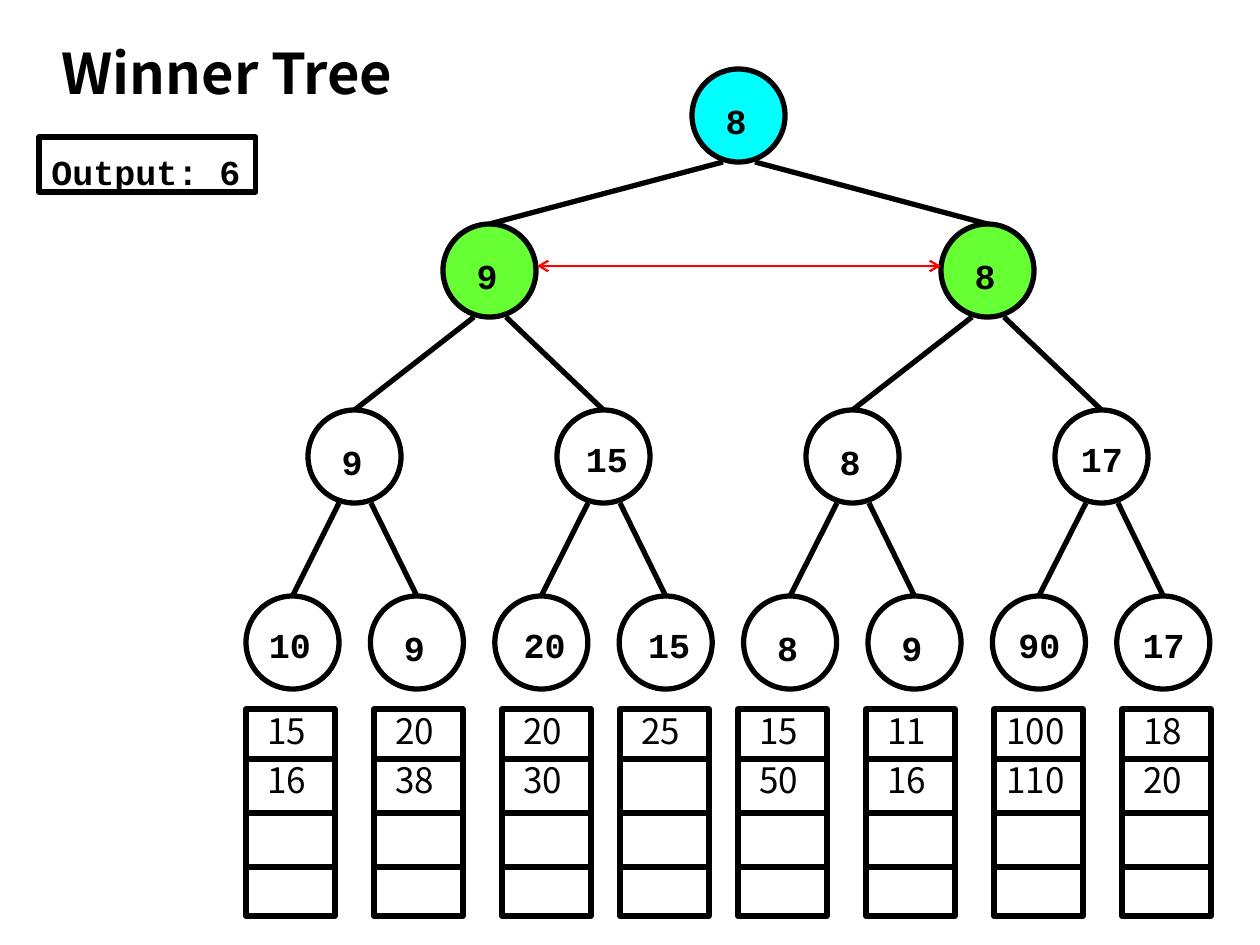
from lxml import etree
from pptx import Presentation
from pptx.dml.color import RGBColor
from pptx.enum.shapes import MSO_CONNECTOR, MSO_SHAPE
from pptx.enum.text import MSO_ANCHOR, PP_ALIGN
from pptx.oxml.ns import qn
from pptx.util import Pt

PX = 914400 / 126
MONO, SANS = "Courier New", "Noto Sans CJK KR"
BLACK, RED, GREEN, CYAN = "000000", "FF0000", "66FF33", "00FFFF"


def emu(*nums):
    return [round(n * PX) for n in nums]


def tint(color, code):
    color.rgb = RGBColor.from_string(code)


deck = Presentation()
deck.slide_width, deck.slide_height = emu(1260, 945)
slide = deck.slides.add_slide(deck.slide_layouts[6])
shapes = slide.shapes

# Tree levels, leaves first: first centre, step, top, fill, values
SIZE = 93
levels = [
    (293, 124.4, 596, None, ["10", "9", "20", "15", "8", "9", "90", "17"]),
    (355, 249, 410, None, ["9", "15", "8", "17"]),
    (490, 498, 224, GREEN, ["9", "8"]),
    (739, 0, 69, CYAN, ["8"]),
]
shift = {"10": -3, "15": 3, "20": 3}

# Outlines: left, top, width, height, preset, fill
forms = []
# Labels: text, left, top, width, height, font, size, bold, align
notes = []
for mid, step, top, fill, vals in levels:
    for i, val in enumerate(vals):
        x = mid + step * i
        forms.append((x - 47, top, SIZE, SIZE, MSO_SHAPE.OVAL, fill))
        wide, drop = (67, 17) if len(val) == 1 else (88, 14)
        off = -3 if len(val) == 1 else shift.get(val, 0)
        notes.append((val, x + off - wide / 2, top + drop, wide, 55,
                      MONO, 20, True, PP_ALIGN.CENTER))

# Queues below the leaves
lefts = [246, 374, 502, 620, 738, 866, 994, 1122]
queues = [["15", "16"], ["20", "38"], ["20", "30"], ["25"],
          ["15", "50"], ["11", "16"], ["100", "110"], ["18", "20"]]
WIDE, HEAD = 89, 709
rules = [759, 813, 867]
for x, vals in zip(lefts, queues):
    forms.append((x, HEAD, WIDE, 207, MSO_SHAPE.RECTANGLE, None))
    for val, y in zip(vals, (HEAD, rules[0])):
        pad = 9 if len(val) == 2 else 0
        notes.append((val, x + pad, y, WIDE - 2 * pad, 55,
                      SANS, 20, False, PP_ALIGN.LEFT))

# Title and output box
notes.append(("Winner Tree", 49, 39, 423, 81, SANS, 32, True, PP_ALIGN.LEFT))
forms.append((39, 137, 217, 55, MSO_SHAPE.RECTANGLE, None))
notes.append(("Output: 6", 39, 137, 217, 55, MONO, 20, True, PP_ALIGN.LEFT))

# Draw the outlines
drawn = []
for x, y, w, h, kind, fill in forms:
    form = shapes.add_shape(kind, *emu(x, y, w, h))
    form.shadow.inherit = False
    if fill:
        form.fill.solid()
        tint(form.fill.fore_color, fill)
    else:
        form.fill.background()
    tint(form.line.color, BLACK)
    form.line.width = Pt(3)
    drawn.append(form)

# Lines: from x, from y, to x, to y, colour, width, child node
lines = []
base = 0
for low, high in zip(levels, levels[1:]):
    for i in range(len(low[4])):
        side = 16 if i % 2 else -16
        lines.append((low[0] + low[1] * i, low[2],
                      high[0] + high[1] * (i // 2) + side, high[2] + SIZE,
                      BLACK, 3, drawn[base + i]))
    base += len(low[4])
for x in lefts:
    for y in rules:
        lines.append((x, y, x + WIDE, y, BLACK, 3, None))
lines.append((537, 266, 941, 266, RED, 1.25, None))

for x, y, to_x, to_y, code, thick, child in lines:
    line = shapes.add_connector(MSO_CONNECTOR.STRAIGHT, *emu(x, y, to_x, to_y))
    tint(line.line.color, code)
    line.line.width = Pt(thick)
    if child is not None:
        line.begin_connect(child, 0)
    if code == RED:
        for end in ("a:headEnd", "a:tailEnd"):
            etree.SubElement(line.line._get_or_add_ln(), qn(end), type="arrow")
    etree.SubElement(line._element.spPr, qn("a:effectLst"))

# Write the labels
for text, x, y, w, h, font, size, bold, align in notes:
    frame = shapes.add_textbox(*emu(x, y, w, h)).text_frame
    frame.word_wrap = True
    frame.vertical_anchor = MSO_ANCHOR.TOP
    frame.margin_top, frame.margin_bottom = emu(13 if font == MONO else 0, 0)
    para = frame.paragraphs[0]
    para.alignment = align
    run = para.add_run()
    run.text = text
    run.font.name = font
    run.font.size = Pt(size)
    run.font.bold = bold
    tint(run.font.color, BLACK)

deck.save("out.pptx")
